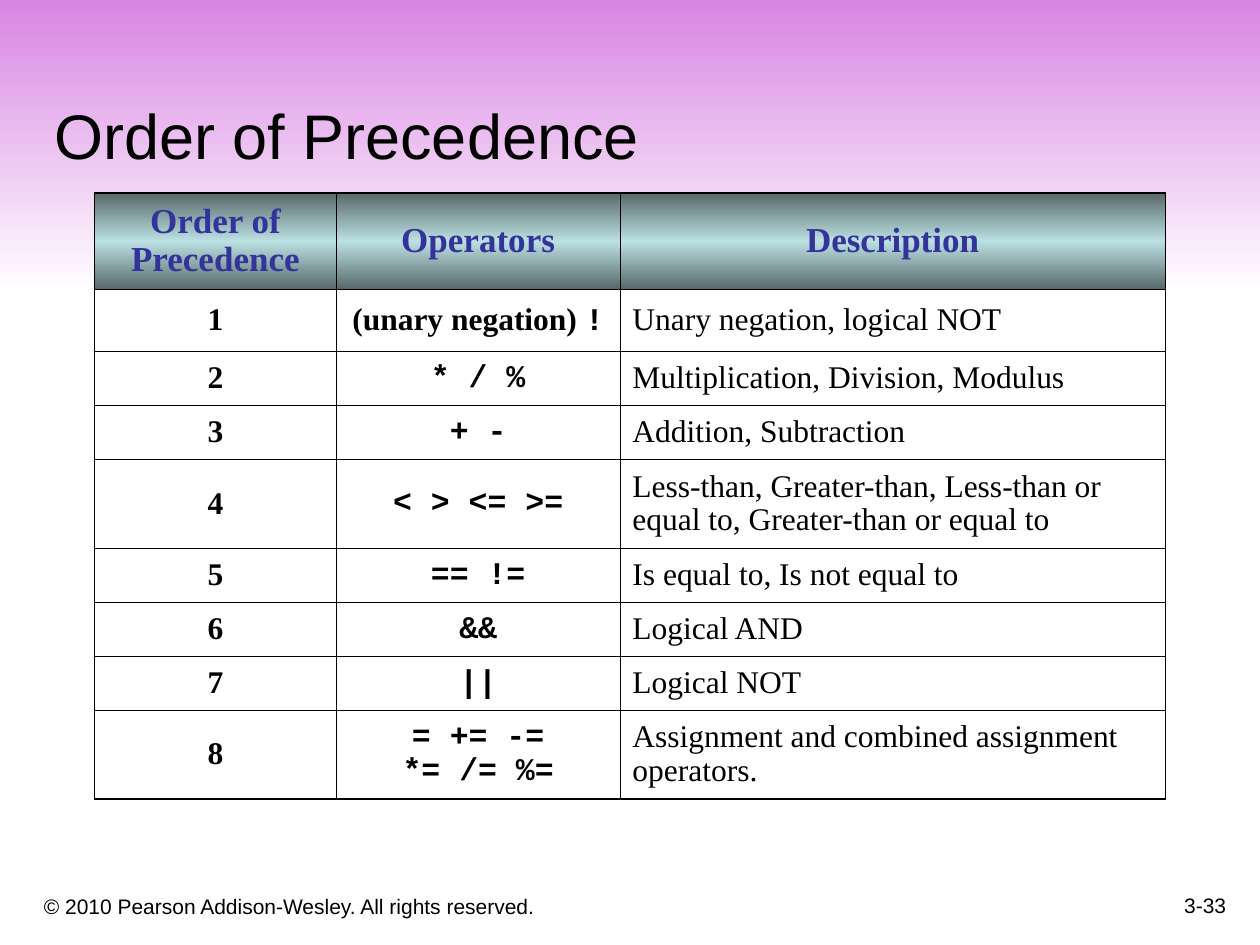
from copy import deepcopy

from pptx import Presentation
from pptx.dml.color import RGBColor
from pptx.enum.shapes import MSO_SHAPE
from pptx.enum.text import MSO_ANCHOR as ANCHOR, MSO_AUTO_SIZE as AUTO, PP_ALIGN as ALIGN
from pptx.oxml import parse_xml
from pptx.oxml.ns import nsdecls, qn
from pptx.util import Inches, Pt

BLACK = RGBColor(0x00, 0x00, 0x00)
WHITE = RGBColor(0xFF, 0xFF, 0xFF)
ORCHID = RGBColor(0xD8, 0x85, 0xE3)
INDIGO = RGBColor(0x33, 0x33, 0x99)
SLATE = RGBColor(0x57, 0x68, 0x69)
AQUA = RGBColor(0xBB, 0xE0, 0xE3)
SANS, SERIF, MONO = "Arial", "Times New Roman", "Courier New"


def write(tf, text, font=SANS, size=12, color=BLACK, bold=False, align=ALIGN.LEFT,
          anchor=ANCHOR.BOTTOM, spacing=None, prefix=""):
    tf.word_wrap = True
    tf.vertical_anchor = anchor
    for i, line in enumerate(text.split("\n")):
        p = tf.add_paragraph() if i else tf.paragraphs[0]
        p.alignment = align
        p.line_spacing = spacing
        for part, face in ((prefix, SERIF), (line, font)):
            if part:
                r = p.add_run()
                r.text = part
                r.font.name = face
                r.font.size = Pt(size)
                r.font.bold = bold
                r.font.color.rgb = color


def shade(fill, element, colors):
    fill.gradient()
    fill.gradient_angle = 270
    stops = element.find(".//" + qn("a:gsLst"))
    for _ in colors[2:]:
        stops.append(deepcopy(stops[0]))
    for i, (stop, color) in enumerate(zip(fill.gradient_stops, colors)):
        stop.position = i / (len(colors) - 1)
        stop.color.rgb = color


prs = Presentation()
prs.slide_width, prs.slide_height = Inches(10), Inches(7.5)
slide = prs.slides.add_slide(prs.slide_layouts[5])
slide.background.fill.solid()
slide.background.fill.fore_color.rgb = WHITE

title = slide.shapes.title
title.left, title.top = Inches(0.33), Inches(0.33)
title.width, title.height = Inches(9.42), Inches(1.09)
title.text_frame.auto_size = AUTO.NONE
write(title.text_frame, "Order of Precedence", size=36)

band = slide.shapes.add_shape(MSO_SHAPE.RECTANGLE, 0, 0, Inches(10), Inches(2.32))
band.shadow.inherit = False
band.line.fill.background()
shade(band.fill, band._element, [ORCHID, WHITE])
slide.shapes._spTree.insert(2, band._element)

footers = [
    (0.25, 6.92, 6.08, 0.42, "© 2010 Pearson Addison-Wesley. All rights reserved.", ALIGN.LEFT),
    (7.75, 6.83, 2.08, 0.5, "3-33", ALIGN.RIGHT),
]
for x, y, w, h, text, align in footers:
    box = slide.shapes.add_textbox(Inches(x), Inches(y), Inches(w), Inches(h))
    write(box.text_frame, text, align=align)

headers = ["Order of Precedence", "Operators", "Description"]
levels = [
    ("!", "Unary negation, logical NOT"),
    ("* / %", "Multiplication, Division, Modulus"),
    ("+ -", "Addition, Subtraction"),
    ("< > <= >=", "Less-than, Greater-than, Less-than or equal to, Greater-than or equal to"),
    ("== !=", "Is equal to, Is not equal to"),
    ("&&", "Logical AND"),
    ("||", "Logical NOT"),
    ("= += -=\n*= /= %=", "Assignment and combined assignment operators."),
]
rows = [headers] + [(str(n), *level) for n, level in enumerate(levels, 1)]
widths = [1.92, 2.25, 4.33]
heights = [0.77, 0.49, 0.43, 0.43, 0.7, 0.43, 0.43, 0.43, 0.7]

table = slide.shapes.add_table(len(rows), len(widths), Inches(0.75), Inches(1.53),
                               Inches(sum(widths)), Inches(sum(heights))).table
table.first_row = table.horz_banding = False
for col, width in zip(table.columns, widths):
    col.width = Inches(width)
for row, height in zip(table.rows, heights):
    row.height = Inches(height)

last_row, last_col = len(rows) - 1, len(widths) - 1
for i, row in enumerate(rows):
    for j, text in enumerate(row):
        cell = table.cell(i, j)
        cell.vertical_anchor = ANCHOR.MIDDLE
        tcPr = cell._tc.get_or_add_tcPr()
        outer = {"L": j == 0, "R": j == last_col, "T": i == 0, "B": i == last_row}
        for side, edge in outer.items():
            tcPr.append(parse_xml(
                f'<a:ln{side} {nsdecls("a")} w="{Pt(1.08 if edge else 0.45)}"><a:solidFill>'
                f'<a:srgbClr val="{BLACK}"/></a:solidFill></a:ln{side}>'))
        if i == 0:
            shade(cell.fill, tcPr, [SLATE, AQUA, SLATE])
        else:
            cell.fill.background()
        write(cell.text_frame, text,
              font=MONO if i and j == 1 else SERIF,
              size=18 if i else 20,
              color=BLACK if i else INDIGO,
              bold=i == 0 or j < 2,
              align=ALIGN.LEFT if i and j == 2 else ALIGN.CENTER,
              anchor=ANCHOR.MIDDLE,
              spacing=0.97,
              prefix="(unary negation) " if (i, j) == (1, 1) else "")

prs.save("out.pptx")
